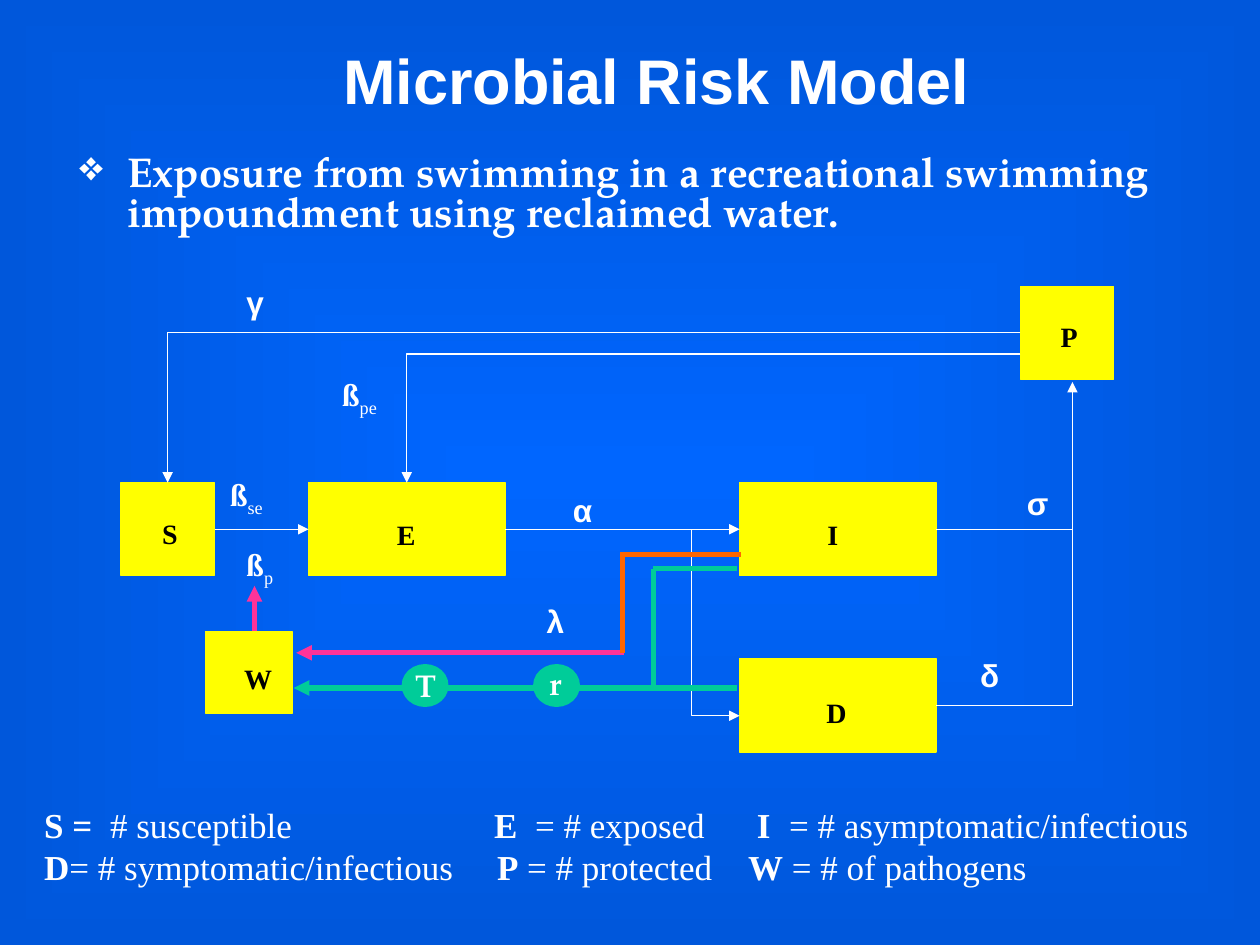
from lxml.etree import SubElement
from pptx import Presentation
from pptx.dml.color import RGBColor
from pptx.enum.shapes import MSO_CONNECTOR, MSO_SHAPE
from pptx.enum.text import MSO_ANCHOR, PP_ALIGN
from pptx.oxml.ns import qn
from pptx.util import Cm, Pt

WHITE = RGBColor(0xFF, 0xFF, 0xFF)
BLACK = RGBColor(0x00, 0x00, 0x00)
YELLOW = RGBColor(0xFF, 0xFF, 0x00)
PINK = RGBColor(0xFF, 0x33, 0x99)
ORANGE = RGBColor(0xFF, 0x66, 0x00)
GREEN = RGBColor(0x00, 0xCC, 0x99)
BLUE = RGBColor(0x00, 0x66, 0xFF)
DARK_BLUE = RGBColor(0x00, 0x57, 0xDB)
SERIF, SANS, BOOK = "Times New Roman", "Arial", "TeX Gyre Pagella"

prs = Presentation()
prs.slide_width, prs.slide_height = Cm(25.4), Cm(19.05)
s = prs.slides.add_slide(prs.slide_layouts[6])

# Background: rectangular gradient from the centre
fill = s.background.fill
fill.gradient()
for stop, color in zip(fill.gradient_stops, (BLUE, DARK_BLUE)):
    stop.color.rgb = color
grad = s.background._cSld.find(".//" + qn("a:gradFill"))
grad.remove(grad.find(qn("a:lin")))
rect = SubElement(SubElement(grad, qn("a:path"), path="rect"), qn("a:fillToRect"))
for side in "ltrb":
    rect.set(side, "50000")


def add_text(x, y, w, h, runs, font, size, color=WHITE, wrap=False):
    """Add a text box with one paragraph; runs are (text, bold, baseline) tuples."""
    tf = s.shapes.add_textbox(Cm(x), Cm(y), Cm(w), Cm(h)).text_frame
    tf.word_wrap = wrap
    p = tf.paragraphs[0]
    for text, bold, baseline in runs:
        r = p.add_run()
        r.text = text
        r.font.name, r.font.size, r.font.bold = font, Pt(size), bold
        r.font.color.rgb = color
        if baseline:
            r.font._element.set("baseline", str(baseline))
    return tf


def add_path(points, color=WHITE, width=0.75, arrow=True):
    """Draw a line through the points, with an optional arrowhead at the last."""
    pts = [(Cm(x), Cm(y)) for x, y in points]
    if len(pts) == 2:
        sp = s.shapes.add_connector(MSO_CONNECTOR.STRAIGHT, *pts[0], *pts[1])
    else:
        builder = s.shapes.build_freeform(*pts[0], scale=1.0)
        builder.add_line_segments(pts[1:], close=False)
        sp = builder.convert_to_shape()
        sp.fill.background()
    sp.line.color.rgb = color
    sp.line.width = Pt(width)
    spPr = sp._element.spPr
    if arrow:
        SubElement(spPr.find(qn("a:ln")), qn("a:tailEnd"), type="triangle")
    SubElement(spPr, qn("a:effectLst"))


# Title and bullet
tf = add_text(3.61, 0, 19.25, 3.18, [("Microbial Risk Model", True, 0)], SANS, 36, wrap=True)
tf.vertical_anchor = MSO_ANCHOR.MIDDLE
tf.paragraphs[0].alignment = PP_ALIGN.CENTER

tf = add_text(1.35, 3.02, 24.05, 2.54, [
    ("Exposure from swimming in a recreational swimming "
     "impoundment using reclaimed water.", True, 0)], BOOK, 23.8, wrap=True)
p = tf.paragraphs[0]
p.line_spacing = 0.8
pPr = p._p.get_or_add_pPr()
pPr.set("marL", str(Cm(0.97)))
pPr.set("indent", str(-Cm(0.97)))
SubElement(pPr, qn("a:buChar"), char="❖")

# Compartments: box, then the place and width of its letter
compartments = [
    ("E", 6.22, 9.73, 3.96, 1.88, 7.75, 10.31, 0.89),
    ("D", 14.91, 13.28, 3.96, 1.88, 16.41, 13.89, 0.91),
    ("I", 14.91, 9.73, 3.96, 1.88, 16.43, 10.31, 0.71),
    ("S", 2.44, 9.73, 1.88, 1.88, 3.02, 10.29, 0.81),
    ("P", 20.57, 5.77, 1.88, 1.88, 21.13, 6.32, 0.84),
    ("W", 4.14, 12.73, 1.75, 1.65, 4.67, 13.21, 1.07),
]
for letter, x, y, w, h, tx, ty, tw in compartments:
    sp = s.shapes.add_shape(MSO_SHAPE.RECTANGLE, Cm(x), Cm(y), Cm(w), Cm(h))
    sp.shadow.inherit = False
    sp.fill.solid()
    sp.fill.fore_color.rgb = YELLOW
    sp.line.color.rgb = YELLOW
    sp.line.width = Pt(0.75)
    add_text(tx, ty, tw, 0.94, [(letter, True, 0)], SERIF, 16, BLACK)

# Flows between compartments
add_path([(4.34, 10.67), (6.22, 10.67)])
add_path([(10.19, 10.67), (14.91, 10.67)])
add_path([(13.94, 10.67), (13.94, 14.43), (14.91, 14.43)])
add_path([(18.87, 10.67), (21.62, 10.67)], arrow=False)
add_path([(18.87, 14.22), (21.62, 14.22), (21.62, 7.7)])
add_path([(20.57, 6.71), (3.38, 6.71), (3.38, 9.73)])
add_path([(20.57, 7.14), (8.2, 7.14), (8.2, 9.73)])

# Pathogen flows
add_path([(5.13, 12.73), (5.13, 11.81)], PINK, 3)
add_path([(12.57, 13.16), (5.97, 13.16)], PINK, 3)
add_path([(12.55, 13.16), (12.55, 11.13)], ORANGE, 3, arrow=False)
add_path([(12.57, 11.18), (14.94, 11.18)], ORANGE, 3, arrow=False)
add_path([(14.86, 11.46), (13.16, 11.46)], GREEN, 3, arrow=False)
add_path([(13.18, 11.48), (13.18, 13.84)], GREEN, 3, arrow=False)
add_path([(14.86, 13.87), (5.92, 13.87)], GREEN, 3)

# Treatment and recovery nodes
for letter, x, tx, ty, tw in [("T", 8.15, 8.13, 13.31, 0.91), ("r", 10.8, 10.82, 13.26, 0.84)]:
    sp = s.shapes.add_shape(MSO_SHAPE.OVAL, Cm(x), Cm(13.44), Cm(0.84), Cm(0.76))
    sp.shadow.inherit = False
    sp.fill.solid()
    sp.fill.fore_color.rgb = GREEN
    sp.line.color.rgb = GREEN
    sp.line.width = Pt(3)
    add_text(tx, ty, tw, 1.02, [(letter, True, 0)], BOOK, 18)

# Rate labels
for letter, x, y, w in [("α", 11.3, 9.78, 0.91), ("δ", 19.51, 13.11, 0.81),
                        ("σ", 20.45, 9.63, 0.89), ("γ", 4.72, 5.59, 0.86),
                        ("λ", 10.77, 12.01, 0.86)]:
    add_text(x, y, w, 1.02, [(letter, True, 0)], SANS, 18)
for sub, x, y, w in [("se", 4.39, 9.45, 1.47), ("pe", 6.65, 7.44, 1.47), ("p", 4.72, 10.87, 1.07)]:
    add_text(x, y, w, 1.12, [("ß", True, 0), (sub, False, -25000)], SERIF, 18, wrap=True)

# Legend: tab stops in cm, then (text, bold) runs
legend = [
    ((1.33, 9.07, 9.9, 14.37, 15.02),
     [("S =", True), ("\t# susceptible\t", False), ("E", True), ("\t= # exposed\t", False),
      ("I", True), ("\t= # asymptomatic/infectious", False)]),
    ((9.13, 14.19),
     [("D", True), ("= # symptomatic/infectious\t", False), ("P", True),
      (" = # protected\t", False), ("W", True), (" = # of pathogens", False)]),
]
tf = s.shapes.add_textbox(Cm(0.64), Cm(16.08), Cm(24.76), Cm(1.96)).text_frame
tf.word_wrap = True
for i, (stops, runs) in enumerate(legend):
    p = tf.add_paragraph() if i else tf.paragraphs[0]
    tabs = SubElement(p._p.get_or_add_pPr(), qn("a:tabLst"))
    for stop in stops:
        SubElement(tabs, qn("a:tab"), pos=str(Cm(stop)), algn="l")
    for text, bold in runs:
        r = p.add_run()
        r.text = text
        r.font.name, r.font.size, r.font.bold = SERIF, Pt(20), bold
        r.font.color.rgb = WHITE

prs.save("out.pptx")
